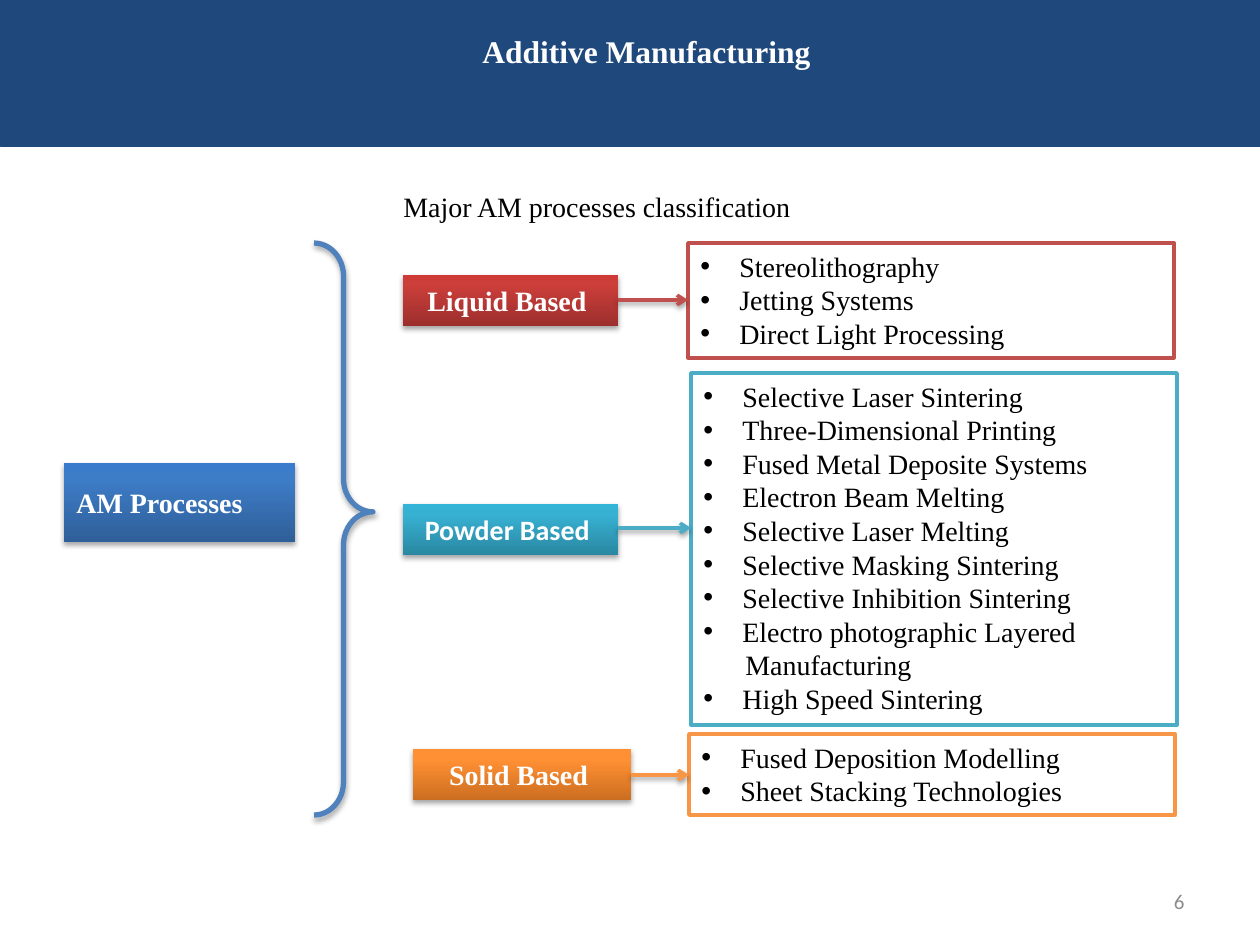
from copy import deepcopy
from dataclasses import dataclass

from lxml import etree
from pptx import Presentation
from pptx.dml.color import RGBColor
from pptx.enum.shapes import MSO_CONNECTOR, MSO_SHAPE
from pptx.enum.text import MSO_ANCHOR, PP_ALIGN
from pptx.oxml.ns import qn
from pptx.util import Pt

EMU_PER_PX = 914400 / 126
EMU_PER_PT = 12700
SERIF = "Times New Roman"
SANS = "Calibri"
RECTANGLE, BRACE = MSO_SHAPE.RECTANGLE, MSO_SHAPE.RIGHT_BRACE
STRAIGHT = MSO_CONNECTOR.STRAIGHT
TOP, MIDDLE = MSO_ANCHOR.TOP, MSO_ANCHOR.MIDDLE
LEFT, CENTER, RIGHT = PP_ALIGN.LEFT, PP_ALIGN.CENTER, PP_ALIGN.RIGHT

BLACK = RGBColor(0x00, 0x00, 0x00)
WHITE = RGBColor(0xFF, 0xFF, 0xFF)
GREY = RGBColor(0x8C, 0x8C, 0x8C)
NAVY = RGBColor(0x1F, 0x49, 0x7D)
BLUE = RGBColor(0x4F, 0x81, 0xBD)
RED = RGBColor(0xC0, 0x50, 0x4D)
TEAL = RGBColor(0x4B, 0xAC, 0xC6)
ORANGE = RGBColor(0xF7, 0x96, 0x46)
BLUE_SHADES = (RGBColor(0x2F, 0x5F, 0x99), RGBColor(0x3D, 0x7C, 0xC7), RGBColor(0x3A, 0x7C, 0xCB))
RED_SHADES = (RGBColor(0x9C, 0x2F, 0x2D), RGBColor(0xCB, 0x3E, 0x3A), RGBColor(0xCE, 0x3B, 0x37))
TEAL_SHADES = (RGBColor(0x2A, 0x88, 0xA2), RGBColor(0x37, 0xB1, 0xD2), RGBColor(0x34, 0xB4, 0xD6))
ORANGE_SHADES = (RGBColor(0xCC, 0x6E, 0x20), RGBColor(0xFF, 0x90, 0x34), RGBColor(0xFF, 0x91, 0x36))
SHADE_POSITIONS = (0, 0.8, 1)
BULLET_INDENT = 39
CONTINUATION_INDENT = 42


@dataclass(frozen=True)
class Box:
    left: int
    top: int
    width: int
    height: int


@dataclass(frozen=True)
class Category:
    label: str
    label_box: Box
    label_font: str
    shades: tuple[RGBColor, ...]
    color: RGBColor
    list_box: Box
    arrow_y: int
    items: tuple[str, ...]
    continuations: tuple[str, ...] = ()


CATEGORIES = (
    Category("Liquid Based ", Box(403, 275, 215, 51), SERIF, RED_SHADES, RED,
             Box(688, 243, 486, 115), 300,
             ("Stereolithography", "Jetting Systems", "Direct Light Processing")),
    Category("Powder Based ", Box(403, 504, 215, 51), SANS, TEAL_SHADES, TEAL,
             Box(691, 373, 486, 352), 528,
             ("Selective Laser Sintering", "Three-Dimensional Printing",
              "Fused Metal Deposite Systems", "Electron Beam Melting",
              "Selective Laser Melting", "Selective Masking Sintering",
              "Selective Inhibition Sintering", "Electro photographic Layered",
              "Manufacturing", "High Speed Sintering"),
             ("Manufacturing",)),
    Category("Solid Based ", Box(413, 749, 218, 51), SERIF, ORANGE_SHADES, ORANGE,
             Box(689, 734, 486, 81), 775,
             ("Fused Deposition Modelling", "Sheet Stacking Technologies")),
)


def px(length: int) -> int:
    return round(length * EMU_PER_PX)


def place(box: Box) -> tuple[int, ...]:
    return px(box.left), px(box.top), px(box.width), px(box.height)


def write(paragraph, text: str, *, size=16, font=SERIF, color=BLACK, bold=False, align=LEFT) -> None:
    paragraph.alignment = align
    run = paragraph.add_run()
    run.text = text
    run.font.size = Pt(size)
    run.font.name = font
    run.font.bold = bold
    run.font.color.rgb = color


def add_text(slide, box: Box, text: str, *, anchor=TOP, wrap=True, **text_format) -> None:
    frame = slide.shapes.add_textbox(*place(box)).text_frame
    frame.word_wrap = wrap
    frame.vertical_anchor = anchor
    write(frame.paragraphs[0], text, **text_format)


def add_plain_shape(slide, kind, box: Box, *, fill=None, line=None, line_width=2):
    shape = slide.shapes.add_shape(kind, *place(box))
    shape.shadow.inherit = False
    if fill is None:
        shape.fill.background()
    else:
        shape.fill.solid()
        shape.fill.fore_color.rgb = fill
    if line is None:
        shape.line.fill.background()
    else:
        shape.line.color.rgb = line
        shape.line.width = Pt(line_width)
    return shape


def add_shadow(shape, *, opacity=35, distance=1.8) -> None:
    properties = shape._element.spPr
    effects = properties.find(qn("a:effectLst"))
    if effects is None:
        effects = etree.SubElement(properties, qn("a:effectLst"))
    shadow = etree.SubElement(
        effects, qn("a:outerShdw"), blurRad=str(round(3.1 * EMU_PER_PT)),
        dist=str(round(distance * EMU_PER_PT)), dir="5400000", rotWithShape="0")
    color = etree.SubElement(shadow, qn("a:srgbClr"), val=str(BLACK))
    etree.SubElement(color, qn("a:alpha"), val=str(opacity * 1000))


def add_label(slide, box: Box, text: str, shades: tuple[RGBColor, ...], **text_format) -> None:
    shape = add_plain_shape(slide, RECTANGLE, box)
    shape.fill.gradient()
    shape.fill.gradient_angle = 90
    stop_list = shape._element.spPr.find(qn("a:gradFill")).find(qn("a:gsLst"))
    stop_list.append(deepcopy(stop_list[0]))
    for stop, position, shade in zip(shape.fill.gradient_stops, SHADE_POSITIONS, shades):
        stop.position = position
        stop.color.rgb = shade
    add_shadow(shape)
    shape.text_frame.vertical_anchor = MIDDLE
    write(shape.text_frame.paragraphs[0], text, color=WHITE, bold=True, **text_format)


def add_list(slide, category: Category) -> None:
    shape = add_plain_shape(slide, RECTANGLE, category.list_box, fill=WHITE, line=category.color)
    frame = shape.text_frame
    frame.vertical_anchor = TOP
    for index, item in enumerate(category.items):
        paragraph = frame.add_paragraph() if index else frame.paragraphs[0]
        write(paragraph, item)
        properties = paragraph._p.get_or_add_pPr()
        if item in category.continuations:
            properties.set("marL", str(px(CONTINUATION_INDENT)))
            properties.set("indent", "0")
        else:
            properties.set("marL", str(px(BULLET_INDENT)))
            properties.set("indent", str(-px(BULLET_INDENT)))
            etree.SubElement(properties, qn("a:buFont"), typeface="Arial")
            etree.SubElement(properties, qn("a:buChar"), char="•")


def add_arrow(slide, category: Category) -> None:
    start = category.label_box.left + category.label_box.width
    y = px(category.arrow_y)
    arrow = slide.shapes.add_connector(STRAIGHT, px(start), y, px(category.list_box.left), y)
    arrow.line.color.rgb = category.color
    arrow.line.width = Pt(2)
    etree.SubElement(arrow.line._get_or_add_ln(), qn("a:tailEnd"), type="arrow")
    add_shadow(arrow, opacity=38, distance=1.6)


def main() -> None:
    presentation = Presentation()
    presentation.slide_width, presentation.slide_height = px(1260), px(945)
    slide = presentation.slides.add_slide(presentation.slide_layouts[6])

    add_text(slide, Box(903, 876, 294, 50), "6", anchor=MIDDLE,
             size=12, font=SANS, color=GREY, align=RIGHT)
    add_plain_shape(slide, RECTANGLE, Box(1, 0, 1260, 145), fill=NAVY, line=NAVY)
    add_text(slide, Box(470, 26, 357, 50), "Additive Manufacturing", wrap=False,
             size=18, color=WHITE, bold=True)
    add_text(slide, Box(391, 183, 810, 47), "Major AM processes classification", anchor=MIDDLE)

    add_label(slide, Box(64, 463, 231, 79), "AM Processes", BLUE_SHADES)
    for category in CATEGORIES:
        add_label(slide, category.label_box, category.label, category.shades,
                  font=category.label_font, align=CENTER)
        add_list(slide, category)
        add_arrow(slide, category)

    brace = add_plain_shape(slide, BRACE, Box(314, 243, 59, 572), line=BLUE, line_width=3)
    brace.adjustments[0] = 0.56
    brace.adjustments[1] = 0.47
    add_shadow(brace)

    presentation.save("out.pptx")


if __name__ == "__main__":
    main()
